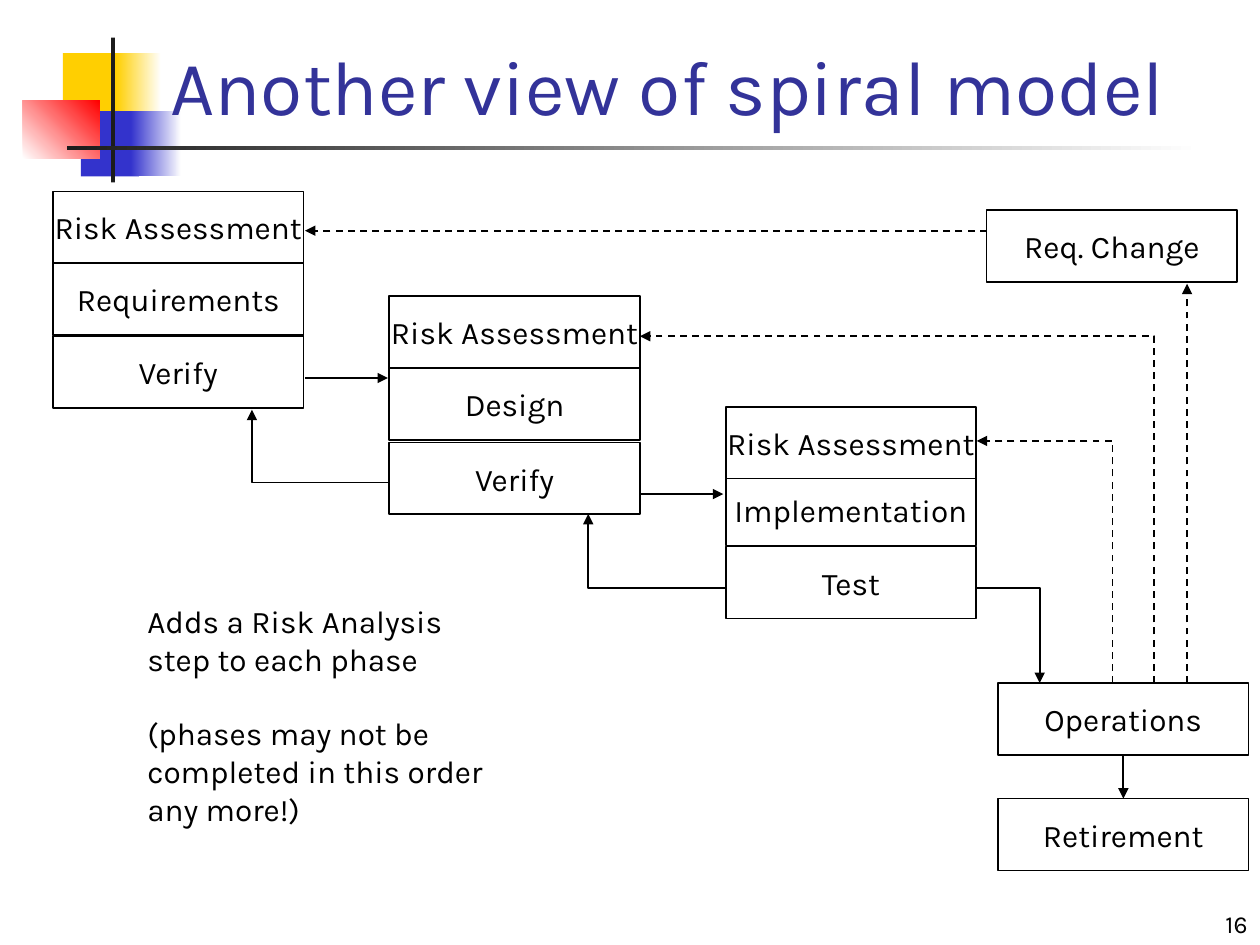
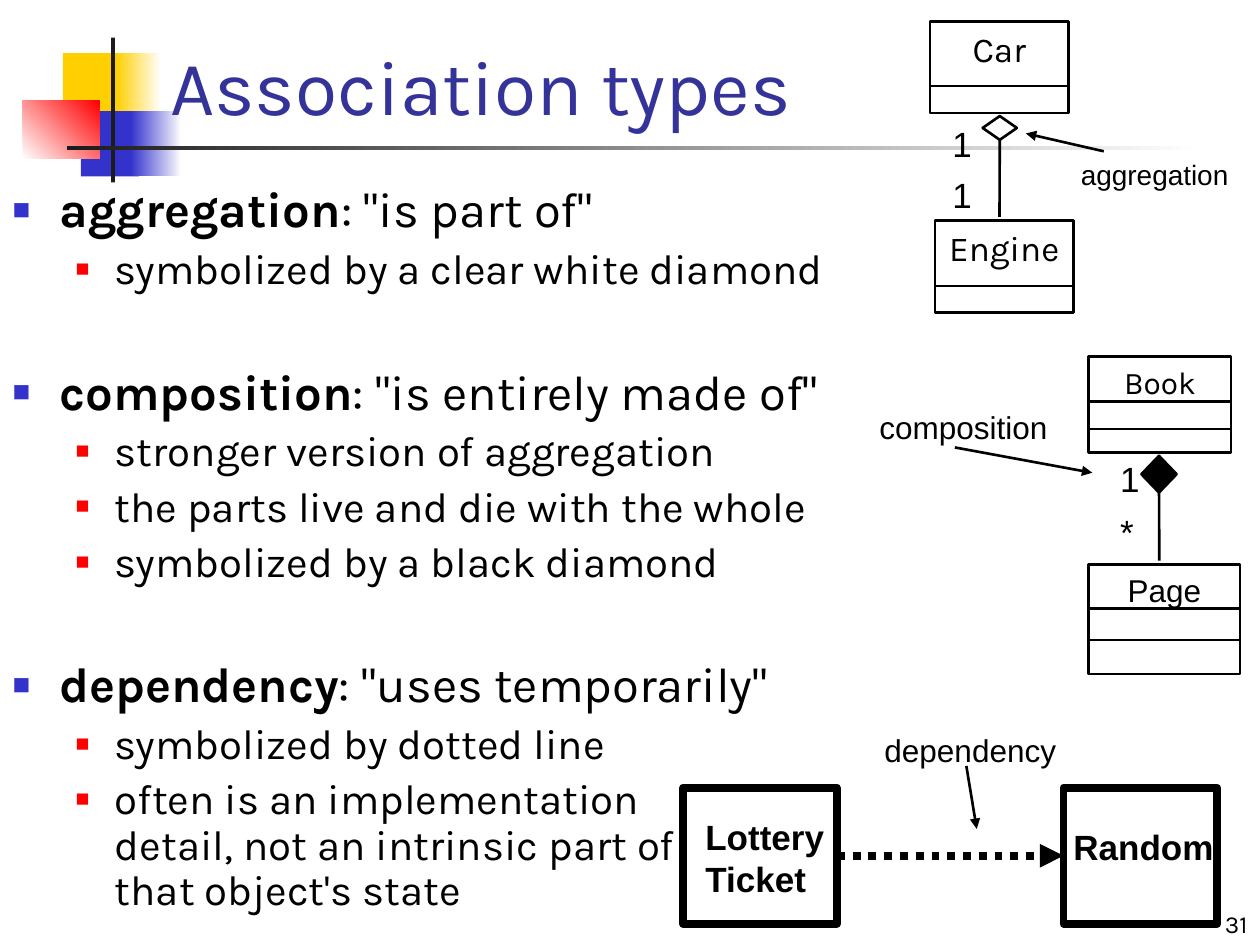
from lxml import etree
from pptx import Presentation
from pptx.dml.color import RGBColor
from pptx.enum.dml import MSO_LINE
from pptx.enum.shapes import MSO_CONNECTOR, MSO_SHAPE
from pptx.enum.text import MSO_ANCHOR, MSO_AUTO_SIZE, PP_ALIGN
from pptx.oxml.ns import qn
from pptx.util import Cm, Pt

RECTANGLE, DIAMOND = MSO_SHAPE.RECTANGLE, MSO_SHAPE.DIAMOND
STRAIGHT = MSO_CONNECTOR.STRAIGHT
DASH, DOT = MSO_LINE.DASH, MSO_LINE.ROUND_DOT
TOP, MIDDLE, BOTTOM = MSO_ANCHOR.TOP, MSO_ANCHOR.MIDDLE, MSO_ANCHOR.BOTTOM
LEFT, CENTER, RIGHT = PP_ALIGN.LEFT, PP_ALIGN.CENTER, PP_ALIGN.RIGHT
NO_FIT = MSO_AUTO_SIZE.NONE
SIDE_TOP, SIDE_LEFT, SIDE_BOTTOM, SIDE_RIGHT = range(4)


class Theme:
    font, label_font = "Karla", "Arial"
    black, white = RGBColor(0, 0, 0), RGBColor(255, 255, 255)
    title = RGBColor(0x33, 0x33, 0x99)
    yellow = RGBColor(0xFF, 0xCF, 0x01)
    blue = RGBColor(0x33, 0x33, 0xCC)
    red = RGBColor(0xFF, 0, 0)
    rule = RGBColor(0x1C, 0x1C, 0x1C)
    title_size, topic_size, detail_size = 44, 28, 24
    class_size, text_size, small_size, number_size = 20, 18, 16, 14
    thin, medium, thick = 1, 1.5, 4.5


def draw_box(page, place, text="", kind=None, fill=None, line=None, size=Theme.text_size,
             font=Theme.font, bold=False, align=LEFT, anchor=TOP, wrap=True):
    """Draw a preset shape, or a text box when no kind is given; place is in centimetres."""
    place = [Cm(length) for length in place]
    if kind is None:
        box = page.shapes.add_textbox(*place)
    else:
        box = page.shapes.add_shape(kind, *place)
        box.shadow.inherit = False
    if fill is None:
        box.fill.background()
    else:
        box.fill.solid()
        box.fill.fore_color.rgb = fill
    if line is None:
        box.line.fill.background()
    else:
        box.line.color.rgb = Theme.black
        box.line.width = Pt(line)
    frame = box.text_frame
    frame.word_wrap = wrap
    frame.vertical_anchor = anchor
    if text:
        frame.text = text
    for para in frame.paragraphs:
        para.alignment = align
        for span in para.runs:
            span.font.size, span.font.name, span.font.bold = Pt(size), font, bold
            span.font.color.rgb = Theme.black
    return box


def draw_line(page, points, width, dash=None, arrow=True):
    """Draw a straight connector, or an open outline when there are more than two points."""
    points = [(Cm(x), Cm(y)) for x, y in points]
    if len(points) == 2:
        line = page.shapes.add_connector(STRAIGHT, *points[0], *points[1])
    else:
        builder = page.shapes.build_freeform(*points[0])
        builder.add_line_segments(points[1:], close=False)
        line = builder.convert_to_shape()
        line.fill.background()
    line.line.color.rgb = Theme.black
    line.line.width = Pt(width)
    if dash:
        line.line.dash_style = dash
    properties = line._element.spPr
    if arrow:
        etree.SubElement(properties.find(qn("a:ln")), qn("a:tailEnd"), type="triangle")
    etree.SubElement(properties, qn("a:effectLst"))
    return line


deck = Presentation()
deck.slide_width, deck.slide_height = Cm(25.4), Cm(19.05)
spiral = deck.slides.add_slide(deck.slide_layouts[5])
association = deck.slides.add_slide(deck.slide_layouts[1])

# Corner squares and title rule, placed on the slide master
ornaments = [
    ((1.27, 1.07, 1.22, 1.32), Theme.yellow, None, 0),
    ((2.34, 1.07, 0.91, 1.32), Theme.yellow, Theme.white, 0),
    ((1.63, 2.24, 1.17, 1.32), Theme.blue, None, 0),
    ((2.64, 2.24, 1.02, 1.32), Theme.blue, Theme.white, 0),
    ((0.46, 2.03, 1.55, 1.17), Theme.white, Theme.red, 45),
    ((2.24, 0.76, 0.08, 2.92), Theme.rule, None, 0),
    ((1.35, 2.95, 22.86, 0.08), Theme.rule, Theme.white, 0),
]
for place, start, end, angle in ornaments:
    ornament = draw_box(spiral, place, kind=RECTANGLE, fill=start)
    if end is not None:
        ornament.fill.gradient()
        ornament.fill.gradient_angle = angle
        for stop, color in zip(ornament.fill.gradient_stops, (start, end)):
            stop.color.rgb = color
    deck.slide_master.shapes._spTree.append(ornament._element)

# Titles and page numbers
for page, heading, number in [(spiral, "Another view of spiral model", "16"),
                              (association, "Association types", "31")]:
    title = page.shapes.title
    title.left, title.top, title.width, title.height = Cm(3.18), Cm(0.43), Cm(21.67), Cm(2.34)
    frame = title.text_frame
    frame.text = heading
    frame.auto_size, frame.vertical_anchor = NO_FIT, BOTTOM
    para = frame.paragraphs[0]
    para.alignment = LEFT
    font = para.runs[0].font
    font.name, font.size, font.color.rgb = Theme.font, Pt(Theme.title_size), Theme.title
    draw_box(page, (21.59, 17.78, 3.81, 1.27), number, size=Theme.number_size,
             align=RIGHT, anchor=BOTTOM)

# Spiral model: three phases of three steps, then the closing steps
step_width, step_height = 5.05, 1.45
steps = []
for index, (names, tops) in enumerate([
    (("Requirements", "Verify", "Risk Assessment"), (5.31, 6.78, 3.86)),
    (("Design", "Verify", "Risk Assessment"), (7.42, 8.92, 5.97)),
    (("Implementation", "Test", "Risk Assessment"), (9.55, 11.02, 8.2)),
]):
    steps += [(name, 1.07 + 6.78 * index, top) for name, top in zip(names, tops)]
steps += [("Req. Change", 19.89, 4.24), ("Operations", 20.12, 13.77), ("Retirement", 20.12, 16.1)]
step_boxes = {}
for name, left, top in steps:
    step_boxes[name] = draw_box(
        spiral, (left, top, step_width, step_height), name, RECTANGLE, Theme.white,
        Theme.thin, align=CENTER, anchor=MIDDLE, wrap=False)

# Spiral model: forward and backward flow, with dashed change requests
flows = [
    ([(6.15, 7.62), (7.82, 7.62)], None),
    ([(12.93, 9.96), (14.58, 9.96)], None),
    ([(7.85, 9.73), (5.08, 9.73), (5.08, 8.26)], None),
    ([(14.63, 11.86), (11.86, 11.86), (11.86, 10.36)], None),
    ([(19.69, 11.86), (20.96, 11.86), (20.96, 13.77)], None),
    ([(23.93, 13.77), (23.93, 5.72)], DASH),
    ([(19.89, 4.65), (6.15, 4.65)], DASH),
    ([(23.27, 13.77), (23.27, 6.78), (12.9, 6.78)], DASH),
    ([(22.43, 13.77), (22.43, 8.89), (19.69, 8.89)], DASH),
]
for points, dash in flows:
    draw_line(spiral, points, Theme.thin, dash)
retire = draw_line(spiral, [(22.65, 15.22), (22.65, 16.1)], Theme.thin)
retire.begin_connect(step_boxes["Operations"], SIDE_BOTTOM)
retire.end_connect(step_boxes["Retirement"], SIDE_TOP)

note = draw_box(
    spiral, (2.72, 12.01, 9.14, 6.32),
    "Adds a Risk Analysis\nstep to each phase\n"
    "(phases may not be\vcompleted in this order\nany more!)", wrap=False)
note.text_frame.paragraphs[2].space_before = Pt(21)

# Association types: list in the body placeholder
topics = [
    ("aggregation", ': "is part of"', ["symbolized by a clear white diamond"]),
    ("composition", ': "is entirely made of"', [
        "stronger version of aggregation",
        "the parts live and die with the whole",
        "symbolized by a black diamond"]),
    ("dependency", ': "uses temporarily"', [
        "symbolized by dotted line",
        "often is an implementation\vdetail, not an intrinsic part of\vthat object's state"]),
]
entries = []
for index, (term, meaning, details) in enumerate(topics):
    entries.append((term, meaning, 0, 42.5 if index else 6.5))
    entries += [(detail, "", 1, 5.6) for detail in details]
levels = [(Theme.topic_size, Theme.blue, 60, 0.95, -0.95),
          (Theme.detail_size, Theme.red, 55, 2.06, -0.79)]

body = association.placeholders[1]
body.left, body.top, body.width, body.height = Cm(0), Cm(3.61), Cm(17.78), Cm(15.44)
frame = body.text_frame
frame.auto_size, frame.vertical_anchor = NO_FIT, TOP
for index, (lead, rest, level, gap) in enumerate(entries):
    size, bullet_color, bullet_size, margin, indent = levels[level]
    para = frame.add_paragraph() if index else frame.paragraphs[0]
    para.text = lead
    if rest:
        para.add_run().text = rest
        para.runs[0].font.bold = True
    for span in para.runs:
        span.font.name, span.font.size = Theme.font, Pt(size)
        span.font.color.rgb = Theme.black
    para.level, para.line_spacing, para.space_before = level, 0.9, Pt(gap)
    properties = para._p.get_or_add_pPr()
    properties.set("marL", str(Cm(margin)))
    properties.set("indent", str(Cm(indent)))
    color = etree.SubElement(properties, qn("a:buClr"))
    etree.SubElement(color, qn("a:srgbClr"), val=str(bullet_color))
    etree.SubElement(properties, qn("a:buSzPct"), val=str(bullet_size * 1000))
    etree.SubElement(properties, qn("a:buFont"), typeface=Theme.label_font)
    etree.SubElement(properties, qn("a:buChar"), char="■")

# Class boxes with their dividers
classes = [
    ("Car", (18.75, 0.43, 2.79, 1.85), [1.73], Theme.class_size, Theme.font),
    ("Engine", (18.85, 4.45, 2.79, 1.85), [5.77], Theme.class_size, Theme.font),
    ("Book", (21.95, 7.19, 2.87, 1.93), [8.1, 8.65], Theme.text_size, Theme.font),
    ("Page", (21.95, 11.38, 3.05, 2.21), [12.27, 12.9], Theme.text_size, Theme.label_font),
]
for name, place, dividers, size, font in classes:
    draw_box(association, place, name, RECTANGLE, line=Theme.medium, size=size, font=font,
             align=CENTER)
    left, right = place[0], place[0] + place[2]
    for height in dividers:
        draw_line(association, [(left, height), (right, height)], Theme.medium, arrow=False)

# Diamonds with the links below them
for place, fill, link_end in [((19.81, 2.34, 0.69, 0.48), None, (20.15, 4.37)),
                              ((23.01, 9.19, 0.71, 0.74), Theme.black, (23.37, 11.3))]:
    diamond = draw_box(association, place, kind=DIAMOND, fill=fill, line=Theme.medium)
    link = draw_line(association, [link_end, link_end], Theme.medium, arrow=False)
    link.begin_connect(diamond, SIDE_BOTTOM)

# Dependency between two classes
ticket, random_class = [
    draw_box(association, (left, 15.88, 3.1, 2.74), kind=RECTANGLE, line=Theme.thick)
    for left in (13.77, 21.44)]
dependency = draw_line(association, [(16.87, 17.25), (21.44, 17.25)], Theme.thick, DOT)
dependency.begin_connect(ticket, SIDE_RIGHT)
dependency.end_connect(random_class, SIDE_LEFT)

# Labels, multiplicities and pointers
labels = [
    ("aggregation", (21.54, 3.05, 3.86, 0.94), Theme.small_size, False),
    ("composition", (17.48, 8.1, 4.2, 1.02), Theme.text_size, False),
    ("dependency", (17.58, 14.61, 4.45, 1.02), Theme.text_size, False),
    ("Lottery\vTicket", (13.97, 16.31, 3.2, 1.96), Theme.class_size, True),
    ("Random", (21.39, 16.51, 3.61, 1.09), Theme.class_size, True),
    ("1", (18.95, 2.34, 1, 1.09), Theme.class_size, False),
    ("1", (18.95, 3.38, 1, 1.09), Theme.class_size, False),
    ("1", (22.33, 9.09, 1, 1.09), Theme.class_size, False),
    ("*", (22.33, 10.16, 1, 1.09), Theme.class_size, False),
]
for text, place, size, bold in labels:
    draw_box(association, place, text, size=size, font=Theme.label_font, bold=bold)
for pointer in [[(22.25, 3.05), (20.68, 2.69)],
                [(19.25, 9.02), (22.02, 9.53)],
                [(19.48, 15.44), (19.69, 16.71)]]:
    draw_line(association, pointer, Theme.medium)

deck.save("out.pptx")
